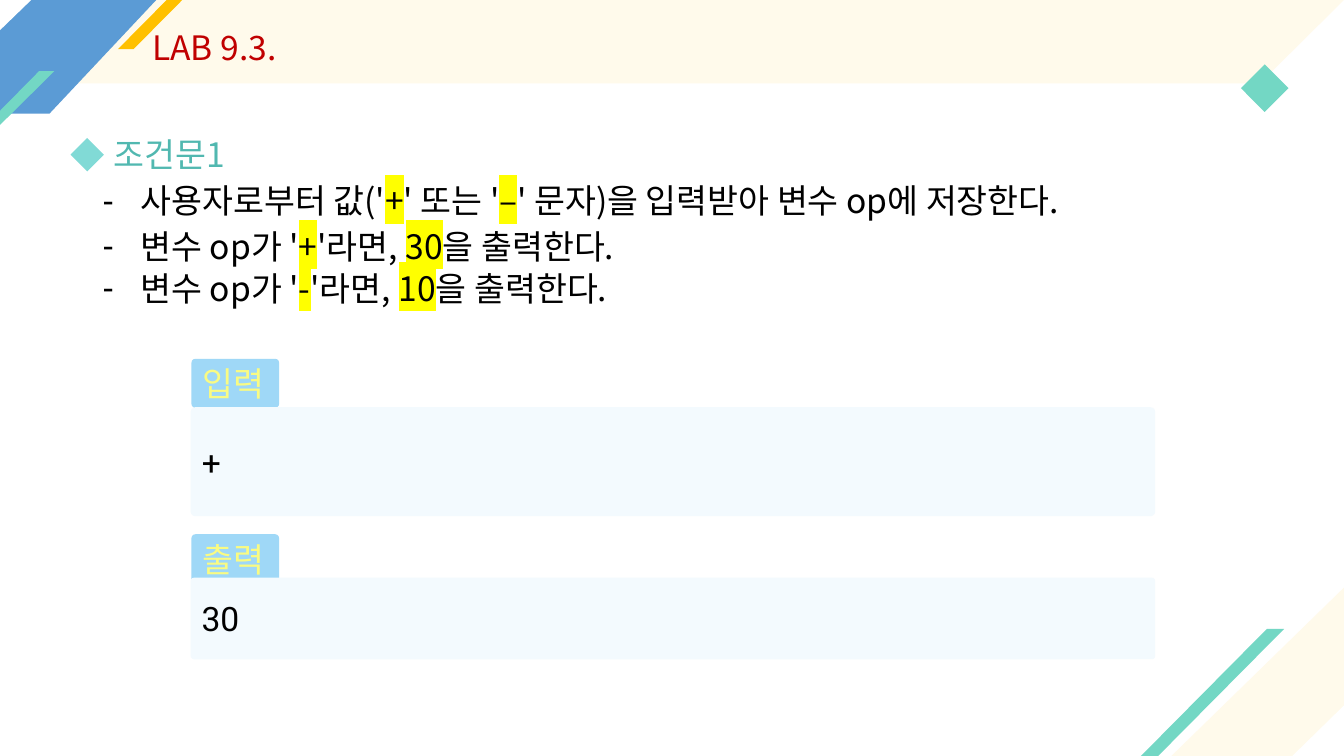
from lxml.etree import SubElement
from pptx import Presentation
from pptx.dml.color import RGBColor
from pptx.enum.shapes import MSO_SHAPE
from pptx.enum.text import MSO_ANCHOR, MSO_AUTO_SIZE, PP_ALIGN
from pptx.oxml.ns import qn
from pptx.util import Pt

CREAM, MINT, WHITE = "FFFAEB", "73D7C4", "FFFFFF"
BLUE, GOLD, AQUA = "5B9BD5", "FFC000", "81DAD6"
SKY, PALE, LEMON = "9FD8F7", "F3FAFE", "F9FB83"
RED, TEAL, BLACK, YELLOW = "C00000", "51B8B0", "000000", "FFFF00"
KOREAN, LATIN = "Noto Sans CJK KR", "Roboto"
STEPS = [
    ("사용자로부터 값('|+|' 또는 '|–|' 문자)을 입력받아 변수 op에 저장한다.", 0),
    ("변수 op가 '|+|'라면, |30|을 출력한다.", 3.4),
    ("변수 op가 '|-|'라면, |10|을 출력한다.", 1.2),
]


def paint(fill, color):
    """Give a fill one solid colour."""
    fill.solid()
    fill.fore_color.rgb = RGBColor.from_string(color)


def style(run, color, face=KOREAN):
    """Set the size, colour and typeface of a run."""
    font = run.font
    font.size = Pt(24)
    font.name = face
    paint(font.fill, color)
    props = run.font.latin if hasattr(font, "latin") else run._r.get_or_add_rPr()
    SubElement(props, qn("a:ea")).set("typeface", face)
    return props


def mark(props, color):
    """Put a highlight behind a run."""
    tint = props.makeelement(qn("a:highlight"), {})
    SubElement(tint, qn("a:srgbClr")).set("val", color)
    props.find(qn("a:solidFill")).addnext(tint)


def finish(shape, color):
    """Fill a shape and remove its line and shadow."""
    paint(shape.fill, color)
    shape.line.fill.background()
    shape.shadow.inherit = False


def block(slide, kind, box, color, flip=None, adj=None):
    """Add a plain preset shape."""
    shape = slide.shapes.add_shape(kind, *map(Pt, box))
    finish(shape, color)
    if flip:
        shape.element.spPr.find(qn("a:xfrm")).set(flip, "1")
    if adj is not None:
        shape.adjustments[0] = adj
    return shape


def outline(slide, points, color):
    """Add a closed polygon."""
    start, *rest = [(Pt(x), Pt(y)) for x, y in points]
    build = slide.shapes.build_freeform(*start)
    build.add_line_segments(rest)
    finish(build.convert_to_shape(), color)


def place(shape, box):
    """Move a placeholder to a box and bring it to the front."""
    shape.left, shape.top, shape.width, shape.height = map(Pt, box)
    shape.element.getparent().append(shape.element)
    shape.text_frame.auto_size = MSO_AUTO_SIZE.NONE


def write(shape, text, color, face=KOREAN):
    """Write one line, left aligned and vertically centred."""
    frame = shape.text_frame
    frame.word_wrap = True
    frame.vertical_anchor = MSO_ANCHOR.MIDDLE
    frame.text = text
    line = frame.paragraphs[0]
    line.alignment = PP_ALIGN.LEFT
    style(line.runs[0], color, face)


def panel(slide, head, text, top, gap, height):
    """Add a labelled box with sample text."""
    kind = MSO_SHAPE.ROUNDED_RECTANGLE
    label = block(slide, kind, (136.8, top, 62.6, 35), SKY, adj=0.078)
    write(label, head, LEMON)
    body = block(slide, kind, (136.2, top + gap, 689, height), PALE, adj=0.042)
    write(body, text, BLACK, LATIN)


def listing(shape, steps):
    """Fill the body with dashed steps whose key values are highlighted."""
    frame = shape.text_frame
    frame.word_wrap = True
    frame.margin_top = frame.margin_bottom = 0
    frame.vertical_anchor = MSO_ANCHOR.TOP
    for i, (text, gap) in enumerate(steps):
        line = frame.add_paragraph() if i else frame.paragraphs[0]
        props = line._p.get_or_add_pPr()
        props.set("marL", str(Pt(27)))
        props.set("indent", str(Pt(-27)))
        SubElement(props, qn("a:buChar")).set("char", "-")
        line.space_before = Pt(gap)
        for j, part in enumerate(text.split("|")):
            run = line.add_run()
            run.text = part
            look = style(run, BLACK)
            if j % 2:
                mark(look, YELLOW)


def decor(slide):
    """Draw the banner and the corner ornaments."""
    wedge, slant = MSO_SHAPE.RIGHT_TRIANGLE, MSO_SHAPE.PARALLELOGRAM
    block(slide, wedge, (836.8, 419.8, 123.2, 120.2), CREAM, "flipH")
    block(slide, slant, (27.4, 0, 887.8, 59.5), CREAM)
    block(slide, wedge, (900, 0, 60, 59.5), CREAM, "flipV")
    block(slide, MSO_SHAPE.DIAMOND, (886.4, 46, 34, 34), MINT)
    outline(slide, [(0, 0), (111.6, 0), (35.3, 81.2), (0, 81.2)], BLUE)
    block(slide, wedge, (0, 0, 22.3, 21.6), WHITE, "flipV")
    block(slide, wedge, (923.2, 504, 36.8, 36), WHITE, "flipH")
    block(slide, slant, (815, 449.3, 102.2, 90.7), MINT, adj=0.991)
    block(slide, slant, (84.2, 0, 46, 35.2), GOLD, adj=0.991)
    outline(slide, [(0, 79.2), (28, 50.8), (38.9, 50.8), (0, 89.3)], MINT)


def main():
    """Build the slide and save it."""
    deck = Presentation()
    deck.slide_width, deck.slide_height = Pt(960), Pt(540)
    slide = deck.slides.add_slide(deck.slide_layouts[1])
    title, body = slide.placeholders
    decor(slide)
    place(title, (101.5, 15.8, 555, 36))
    write(title, "LAB 9.3.", RED)
    topic = slide.shapes.add_textbox(*map(Pt, (74.2, 92.2, 399, 36)))
    write(topic, "조건문1", TEAL)
    block(slide, MSO_SHAPE.DIAMOND, (50.4, 98.6, 23.8, 23.8), AQUA)
    place(body, (66.2, 128.8, 795, 112))
    listing(body, STEPS)
    panel(slide, "입력", "+", 256.3, 34.6, 77.8)
    panel(slide, "출력", "30", 381.6, 31, 58.3)
    deck.save("out.pptx")


if __name__ == "__main__":
    main()
